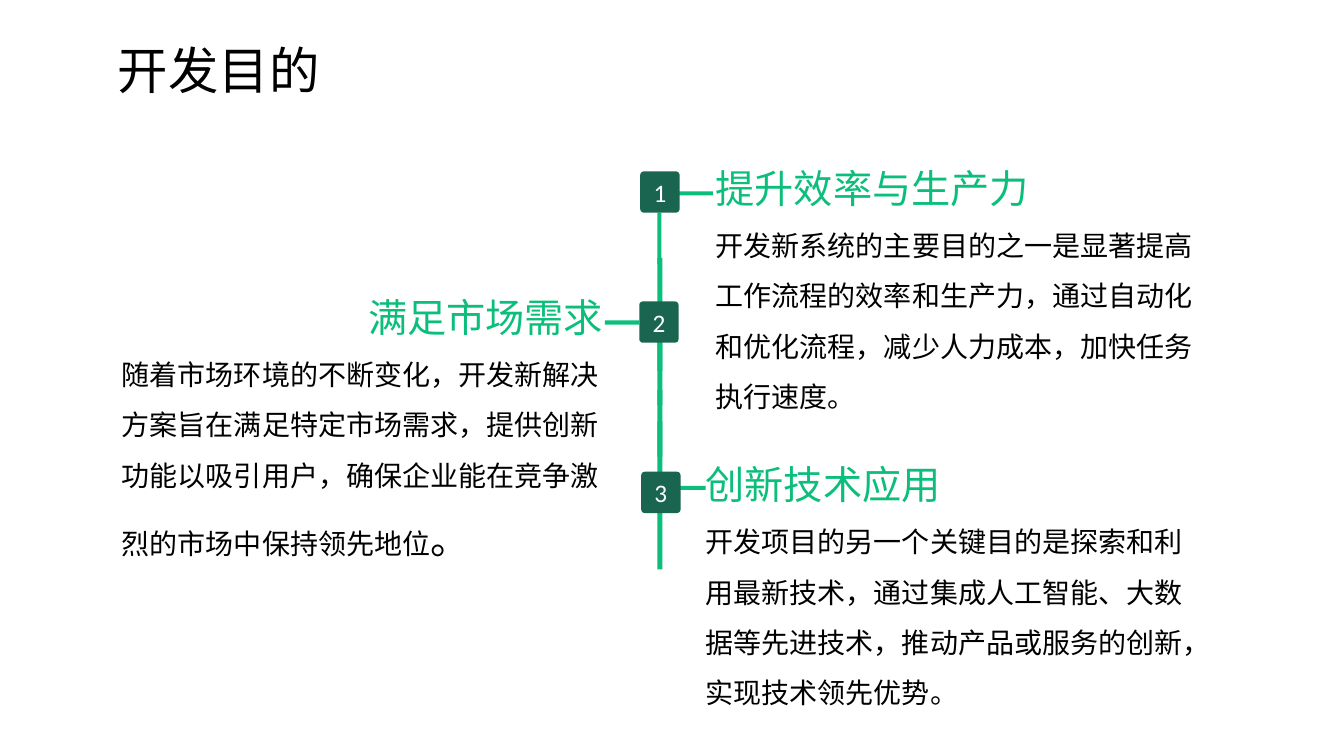
from typing import NamedTuple

from lxml import etree
from pptx import Presentation
from pptx import util as u
from pptx.dml.color import RGBColor
from pptx.enum import shapes, text
from pptx.oxml.ns import qn

PX = 9144  # EMU per px, 100 px to the inch
GREEN = RGBColor(0x0C, 0xBE, 0x7C)
DARK_GREEN = RGBColor(0x1A, 0x65, 0x50)
BLACK = RGBColor(0, 0, 0)
WHITE = RGBColor(255, 255, 255)
CJK_FONT = "Noto Sans CJK SC"


class Box(NamedTuple):
    left: int
    top: int
    width: int
    height: int

    def emu(self) -> list[int]:
        return [side * PX for side in self]


class Purpose(NamedTuple):
    heading: str
    body: str
    block: Box
    badge: Box
    branch: Box
    heading_align: text.PP_ALIGN = text.PP_ALIGN.LEFT
    large_ending: str = ""


PURPOSES = [
    Purpose(
        "提升效率与生产力",
        "开发新系统的主要目的之一是显著提高工作流程的效率和生产力，"
        "通过自动化和优化流程，减少人力成本，加快任务执行速度。",
        Box(700, 160, 497, 253), Box(635, 170, 39, 41), Box(673, 190, 34, 4),
    ),
    Purpose(
        "满足市场需求",
        "随着市场环境的不断变化，开发新解决方案旨在满足特定市场需求，"
        "提供创新功能以吸引用户，确保企业能在竞争激烈的市场中保持领先地位",
        Box(111, 289, 497, 271), Box(634, 299, 39, 41), Box(600, 318, 34, 4),
        text.PP_ALIGN.RIGHT, "。",
    ),
    Purpose(
        "创新技术应用",
        "开发项目的另一个关键目的是探索和利用最新技术，通过集成人工智能、"
        "大数据等先进技术，推动产品或服务的创新，实现技术领先优势。",
        Box(690, 454, 498, 253), Box(636, 468, 39, 41), Box(666, 482, 34, 4),
    ),
]
SPINE = [Box(652, 211, 4, 51)] + [
    Box(652, top, 5, 66) for top in (256, 302, 336, 387, 418, 499)
]


def style(paragraph, size: int, color: RGBColor, font: str = CJK_FONT) -> None:
    paragraph.font.size = u.Pt(size)
    paragraph.font.color.rgb = color
    paragraph.font.name = font
    # East Asian glyphs take their typeface from a:ea
    latin = paragraph._p.pPr.find(qn("a:defRPr")).find(qn("a:latin"))
    east_asian = etree.Element(qn("a:ea"), typeface=font)
    latin.addnext(east_asian)


def add_text_frame(slide, box: Box):
    frame = slide.shapes.add_textbox(*box.emu()).text_frame
    frame.word_wrap = True
    frame.auto_size = text.MSO_AUTO_SIZE.SHAPE_TO_FIT_TEXT
    frame.vertical_anchor = text.MSO_ANCHOR.MIDDLE
    return frame


def add_filled(slide, kind: shapes.MSO_SHAPE, box: Box, color: RGBColor):
    filled = slide.shapes.add_shape(kind, *box.emu())
    filled.shadow.inherit = False
    filled.fill.solid()
    filled.fill.fore_color.rgb = color
    filled.line.fill.background()
    return filled


def add_title(slide, wording: str) -> None:
    title = add_text_frame(slide, Box(107, 9, 1025, 90)).paragraphs[0]
    title.text = wording
    title.line_spacing = 1.5
    style(title, 36, BLACK)


def add_purpose_text(slide, purpose: Purpose) -> None:
    frame = add_text_frame(slide, purpose.block)
    heading = frame.paragraphs[0]
    heading.text = purpose.heading
    heading.alignment = purpose.heading_align
    style(heading, 28, GREEN)
    body = frame.add_paragraph()
    body.text = purpose.body
    body.line_spacing = 1.5
    style(body, 20, BLACK)
    if purpose.large_ending:
        ending = body.add_run()
        ending.text = purpose.large_ending
        ending.font.size = u.Pt(28)


def add_badge(slide, box: Box, number: int) -> None:
    badge = add_filled(slide, shapes.MSO_SHAPE.ROUNDED_RECTANGLE, box, DARK_GREEN)
    badge.adjustments[0] = 0.09
    badge.text_frame.vertical_anchor = text.MSO_ANCHOR.MIDDLE
    label = badge.text_frame.paragraphs[0]
    label.text = str(number)
    label.alignment = text.PP_ALIGN.CENTER
    style(label, 18, WHITE, "Calibri")


def main() -> None:
    deck = Presentation()
    deck.slide_width, deck.slide_height = 1333 * PX, 750 * PX
    slide = deck.slides.add_slide(deck.slide_layouts[6])

    add_title(slide, "开发目的")
    for purpose in PURPOSES:
        add_purpose_text(slide, purpose)

    # Timeline: spine and branches first, numbered badges on top
    for bar in SPINE + [purpose.branch for purpose in PURPOSES]:
        add_filled(slide, shapes.MSO_SHAPE.RECTANGLE, bar, GREEN)
    for number, purpose in enumerate(PURPOSES, start=1):
        add_badge(slide, purpose.badge, number)

    deck.save("out.pptx")


if __name__ == "__main__":
    main()
